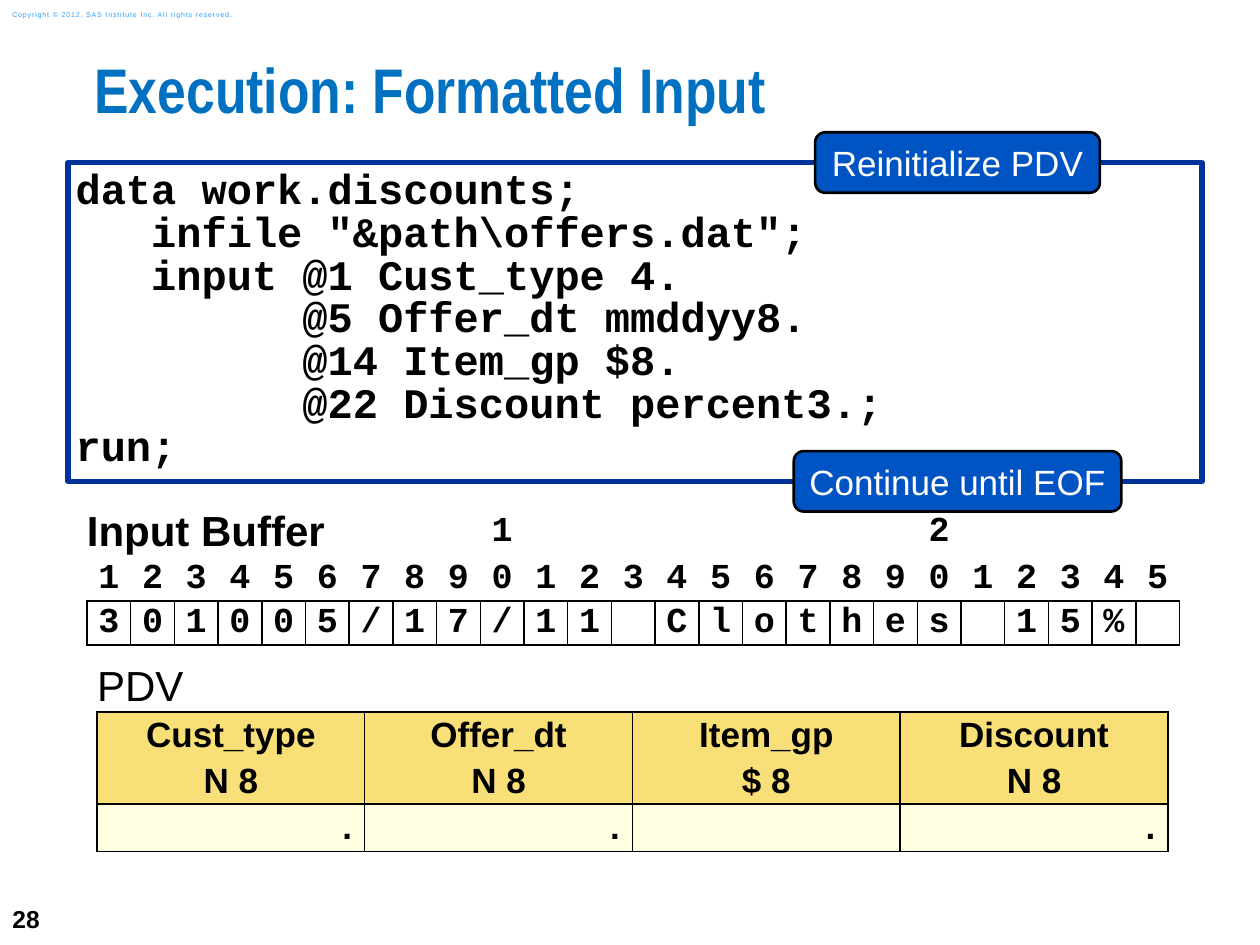
"""Build a slide showing formatted input with its input buffer and PDV."""
from pptx import Presentation, util as u
from pptx.dml.color import RGBColor
from pptx.enum import shapes, text
from pptx.oxml import parse_xml
from pptx.oxml.ns import nsdecls

BLACK = RGBColor(0, 0, 0)
WHITE = RGBColor(0xFF, 0xFF, 0xFF)
TITLE_BLUE = RGBColor(0x00, 0x70, 0xC0)
COPYRIGHT_BLUE = RGBColor(0x2A, 0x9C, 0xFF)
FRAME_BLUE = RGBColor(0x00, 0x33, 0x99)
CALLOUT_BLUE = RGBColor(0x00, 0x53, 0xC3)
GOLD = RGBColor(0xF9, 0xDF, 0x78)
CREAM = RGBColor(0xFF, 0xFF, 0xE1)

SANS, NARROW, MONO = "Arial", "Arial Narrow", "Courier New"
LEFT, CENTER, RIGHT = text.PP_ALIGN.LEFT, text.PP_ALIGN.CENTER, text.PP_ALIGN.RIGHT
TOP, MIDDLE = text.MSO_ANCHOR.TOP, text.MSO_ANCHOR.MIDDLE
PLAIN_TABLE = "{2D5ABB26-0587-4C30-8999-92F81FD0307C}"

CODE = r'''data work.discounts;
   infile "&path\offers.dat";
   input @1 Cust_type 4.
         @5 Offer_dt mmddyy8.
         @14 Item_gp $8.
         @22 Discount percent3.;
run;'''
RECORD = "301005/17/11 Clothes 15% "
VARIABLES = [("Cust_type", "N 8", "."), ("Offer_dt", "N 8", "."),
             ("Item_gp", "$ 8", ""), ("Discount", "N 8", ".")]


def inches(*values):
    """Convert several numbers to lengths."""
    return [u.Inches(v) for v in values]


def format_text(tf, size, font=SANS, color=BLACK, bold=False, align=LEFT,
                line=None, before=0):
    """Format every paragraph and run of a text frame."""
    for i, p in enumerate(tf.paragraphs):
        p.alignment = align
        if line:
            p.line_spacing = line
        p.space_before = u.Pt(before if i else 0)
        for r in p.runs:
            r.font.size, r.font.name = u.Pt(size), font
            r.font.bold, r.font.color.rgb = bold, color


def set_frame(tf, margins, anchor, wrap=True):
    """Set the margins, anchor and wrapping of a text frame."""
    tf.margin_left = tf.margin_right = u.Inches(margins[0])
    tf.margin_top = tf.margin_bottom = u.Inches(margins[1])
    tf.vertical_anchor, tf.word_wrap = anchor, wrap
    tf.auto_size = text.MSO_AUTO_SIZE.NONE


def set_title(s, content):
    """Place and format the title placeholder."""
    sp = s.shapes.title
    sp.left, sp.top, sp.width, sp.height = inches(0.75, 0.5, 9.25, 0.74)
    sp.text_frame.text = content
    set_frame(sp.text_frame, (0, 0), TOP)
    format_text(sp.text_frame, 36, NARROW, TITLE_BLUE, True, line=0.83)


def add_label(s, box, content, size, color=BLACK, bold=False):
    """Add a text box and return its run."""
    tf = s.shapes.add_textbox(*inches(*box)).text_frame
    tf.text = content
    set_frame(tf, (0.1, 0.05), MIDDLE)
    format_text(tf, size, SANS, color, bold)
    return tf.paragraphs[0].runs[0]


def add_panel(s, kind, box, fill, line, weight, content):
    """Add a filled, outlined shape and return its text frame."""
    sp = s.shapes.add_shape(kind, *inches(*box))
    sp.shadow.inherit = False
    sp.fill.solid()
    sp.fill.fore_color.rgb = fill
    sp.line.color.rgb, sp.line.width = line, u.Pt(weight)
    sp.text_frame.text = content
    return sp.text_frame


def add_code(s, box):
    """Add the framed program listing."""
    tf = add_panel(s, shapes.MSO_SHAPE.RECTANGLE, box, WHITE, FRAME_BLUE, 3, CODE)
    set_frame(tf, (0.06, 0.06), TOP)
    format_text(tf, 24, MONO, bold=True, line=0.85)


def add_callout(s, box, content):
    """Add a rounded callout."""
    tf = add_panel(s, shapes.MSO_SHAPE.ROUNDED_RECTANGLE, box, CALLOUT_BLUE,
                   BLACK, 1.5, content)
    set_frame(tf, (0.1, 0.05), MIDDLE, wrap=False)
    format_text(tf, 20, color=WHITE, align=CENTER)


def add_grid(s, left, top, width, heights, columns):
    """Add an unstyled table with equal columns."""
    frame = s.shapes.add_table(len(heights), columns,
                               *inches(left, top, width, sum(heights)))
    table = frame.table
    table.first_row = table.horz_banding = False
    table._tbl.tblPr.find("{*}tableStyleId").text = PLAIN_TABLE
    for column in table.columns:
        column.width = u.Inches(width / columns)
    for row, height in zip(table.rows, heights):
        row.height = u.Inches(height)
    return table


def set_cell(cell, content, size=20, margin=0, fill=None, sides="", **style):
    """Fill one cell with text, colour and borders."""
    cell.margin_left = cell.margin_right = u.Inches(margin)
    cell.margin_top = cell.margin_bottom = 0
    cell.vertical_anchor = MIDDLE
    cell.text_frame.text = content
    format_text(cell.text_frame, size, **style)
    if fill:
        cell.fill.solid()
        cell.fill.fore_color.rgb = fill
    else:
        cell.fill.background()
    for i, side in enumerate(sides):
        cell._tc.get_or_add_tcPr().insert(i, parse_xml(
            f'<a:ln{side} {nsdecls("a")} w="12700"><a:solidFill>'
            f'<a:srgbClr val="{BLACK}"/></a:solidFill></a:ln{side}>'))


def add_buffer(s):
    """Add the input buffer with its column ruler."""
    count = len(RECORD)
    table = add_grid(s, 0.69, 4.02, 8.68, [0.4, 0.35, 0.35], count)
    mono = dict(font=MONO, bold=True, align=CENTER)
    for i, char in enumerate(RECORD):
        number = i + 1
        tens = "" if number % 10 else str(number // 10)
        set_cell(table.cell(0, i), tens, **mono)
        set_cell(table.cell(1, i), str(number % 10), sides="B", **mono)
        set_cell(table.cell(2, i), char.strip(), sides="LRTB", **mono)
    table.cell(0, 0).merge(table.cell(0, 8))
    set_cell(table.cell(0, 0), "Input Buffer", 24, bold=True)


def add_pdv(s):
    """Add the program data vector."""
    table = add_grid(s, 0.77, 5.25, 8.5, [0.4, 0.73, 0.38], len(VARIABLES))
    for i, (name, kind, value) in enumerate(VARIABLES):
        set_cell(table.cell(0, i), "", fill=WHITE, sides="B")
        set_cell(table.cell(1, i), f"{name}\n{kind}", margin=0.1, fill=GOLD,
                 sides="LRTB", bold=True, align=CENTER, before=4)
        set_cell(table.cell(2, i), value, margin=0.1, fill=CREAM,
                 sides="LRTB", bold=True, align=RIGHT)
    table.cell(0, 0).merge(table.cell(0, len(VARIABLES) - 1))
    set_cell(table.cell(0, 0), "PDV", 24, fill=WHITE)


def main():
    """Build and save the slide."""
    prs = Presentation()
    prs.slide_width, prs.slide_height = inches(10, 7.5)
    s = prs.slides.add_slide(prs.slide_layouts[5])
    set_title(s, "Execution: Formatted Input")
    add_label(s, (0, 7.08, 0.58, 0.42), "28", 14, bold=True)
    r = add_label(s, (0, 0.03, 2.11, 0.17),
                  "Copyright © 2012, SAS Institute Inc. All rights reserved.",
                  4, COPYRIGHT_BLUE)
    r.font._element.set("spc", "50")
    add_buffer(s)
    add_pdv(s)
    add_code(s, (0.54, 1.29, 9, 2.53))
    add_callout(s, (6.47, 1.05, 2.26, 0.48), "Reinitialize PDV")
    add_callout(s, (6.3, 3.58, 2.6, 0.48), "Continue until EOF")
    prs.save("out.pptx")


if __name__ == "__main__":
    main()
